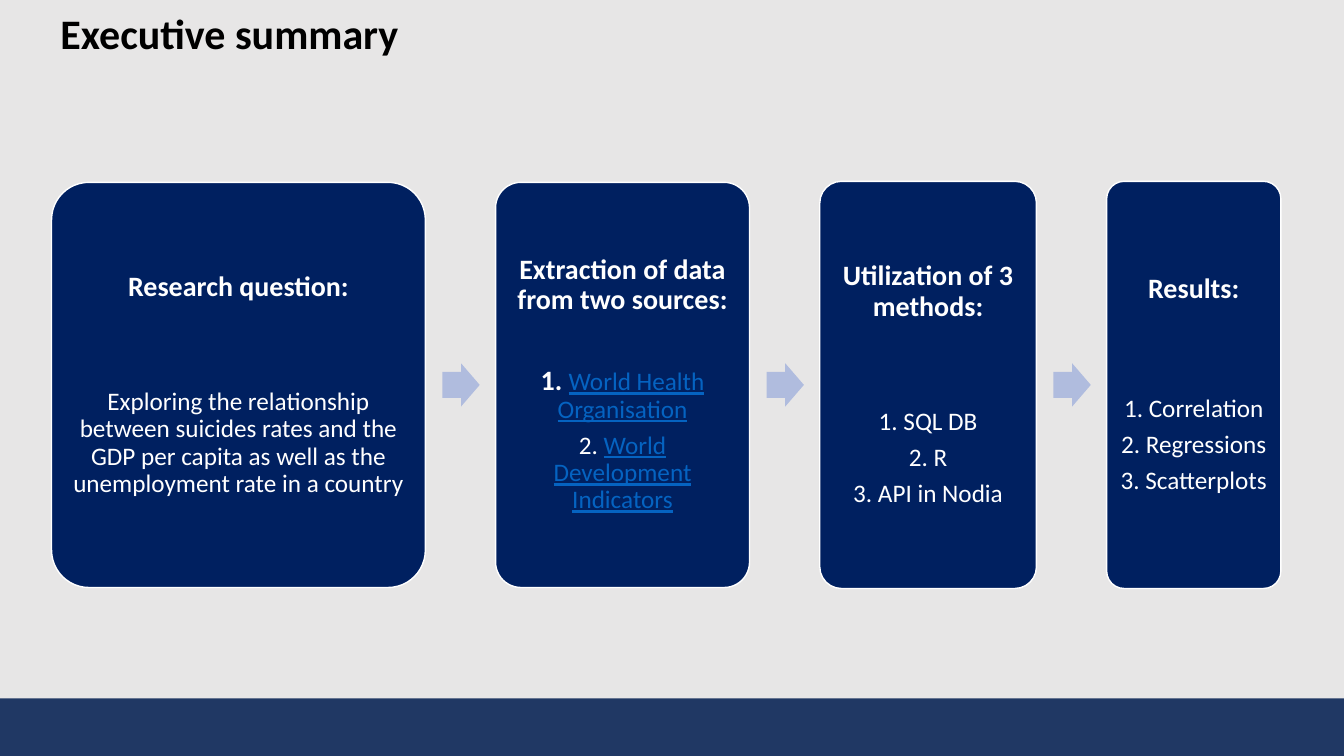
from dataclasses import dataclass
from typing import Any

import pptx
import pptx.dml.color
import pptx.enum.shapes
import pptx.enum.text
import pptx.util

Cm = pptx.util.Cm
Pt = pptx.util.Pt
RGBColor = pptx.dml.color.RGBColor
Shapes = pptx.enum.shapes.MSO_SHAPE
Align = pptx.enum.text.PP_ALIGN
Anchor = pptx.enum.text.MSO_ANCHOR

BACKGROUND = RGBColor(0xE7, 0xE6, 0xE6)
NAVY = RGBColor(0x00, 0x20, 0x60)
FOOTER = RGBColor(0x20, 0x38, 0x64)
ARROW = RGBColor(0xB0, 0xBC, 0xDE)
LINK = RGBColor(0x05, 0x63, 0xC1)
WHITE = RGBColor(0xFF, 0xFF, 0xFF)
BLACK = RGBColor(0x00, 0x00, 0x00)

PAGE_WIDTH, PAGE_HEIGHT = 33.87, 19.05
FIRST_LEFT, MIDDLE, CARD_GAP = 1.3, 9.7, 1.77
ARROW_OFFSET, ARROW_WIDTH, ARROW_HEIGHT = 0.43, 0.94, 1.09
FOOTER_HEIGHT = 1.45


@dataclass
class Span:
    text: str
    size: int = 18
    bold: bool = False
    color: RGBColor = WHITE
    underline: bool = False


@dataclass
class Card:
    width: float
    height: float
    heading: str
    heading_gap: int
    lines: list[list[Span]]


def link(text: str) -> Span:
    return Span(text, color=LINK, underline=True)


CARDS = [
    Card(9.42, 10.21, "Research question:", 62, [
        [Span("Exploring the relationship between suicides rates and the "
              "GDP per capita as well as the unemployment rate in a country")]]),
    Card(6.4, 10.21, "Extraction of data from two sources:", 36, [
        [Span("1. ", size=20, bold=True), link("World Health Organisation")],
        [Span("2. "), link("World Development Indicators")]]),
    Card(5.46, 10.26, "Utilization of 3 methods:", 62, [
        [Span("1. SQL DB")], [Span("2. R")], [Span("3. API in Nodia")]]),
    Card(4.39, 10.26, "Results:", 65, [
        [Span("1. Correlation")], [Span("2. Regressions")],
        [Span("3. Scatterplots")]]),
]


def apply_format(target: Any, values: dict[str, Any]) -> None:
    for name, value in values.items():
        setattr(target, name, value)


def write_para(para: Any, spans: list[Span], align: Any, space_after: float) -> None:
    apply_format(para, {"alignment": align, "line_spacing": 0.9,
                        "space_before": Pt(0), "space_after": Pt(space_after)})
    for span in spans:
        run = para.add_run()
        run.text = span.text
        apply_format(run.font, {"name": "Calibri", "size": Pt(span.size),
                                "bold": span.bold, "underline": span.underline})
        run.font.color.rgb = span.color


def add_block(page: Any, kind: Any, left: float, top: float, width: float,
              height: float, color: RGBColor) -> Any:
    block = page.shapes.add_shape(kind, Cm(left), Cm(top), Cm(width), Cm(height))
    block.shadow.inherit = False
    block.fill.solid()
    block.fill.fore_color.rgb = color
    block.line.fill.background()
    return block


def add_card(page: Any, card: Card, left: float) -> None:
    box = add_block(page, Shapes.ROUNDED_RECTANGLE, left, MIDDLE - card.height / 2,
                    card.width, card.height, NAVY)
    box.adjustments[0] = 0.1
    box.line.color.rgb = WHITE
    box.line.width = Pt(1)
    frame = box.text_frame
    margins = {f"margin_{side}": Cm(0.2) for side in ("left", "top", "right", "bottom")}
    apply_format(frame, {"word_wrap": True, "vertical_anchor": Anchor.MIDDLE, **margins})
    write_para(frame.paragraphs[0], [Span(card.heading, size=20, bold=True)],
               Align.CENTER, card.heading_gap)
    for spans in card.lines:
        write_para(frame.add_paragraph(), spans, Align.CENTER, 6.3)


deck = pptx.Presentation()
deck.slide_width, deck.slide_height = Cm(PAGE_WIDTH), Cm(PAGE_HEIGHT)
page = deck.slides.add_slide(deck.slide_layouts.get_by_name("Title Only"))
page.background.fill.solid()
page.background.fill.fore_color.rgb = BACKGROUND

# Title
title = page.shapes.title
apply_format(title, {"left": Cm(1.27), "top": Cm(0),
                     "width": Cm(29.21), "height": Cm(1.8)})
title.text_frame.vertical_anchor = Anchor.MIDDLE
write_para(title.text_frame.paragraphs[0],
           [Span("Executive summary", size=30, bold=True, color=BLACK)], Align.LEFT, 0)

# Cards, with an arrow in each gap
left = FIRST_LEFT
for index, card in enumerate(CARDS):
    if index:
        add_arrow_left = left - CARD_GAP + ARROW_OFFSET
        arrow = add_block(page, Shapes.RIGHT_ARROW, add_arrow_left,
                          MIDDLE - ARROW_HEIGHT / 2, ARROW_WIDTH, ARROW_HEIGHT, ARROW)
        arrow.adjustments[0] = 0.6
    add_card(page, card, left)
    left += card.width + CARD_GAP

# Footer band
add_block(page, Shapes.RECTANGLE, 0, PAGE_HEIGHT - FOOTER_HEIGHT,
          PAGE_WIDTH, FOOTER_HEIGHT, FOOTER)

deck.save("out.pptx")
